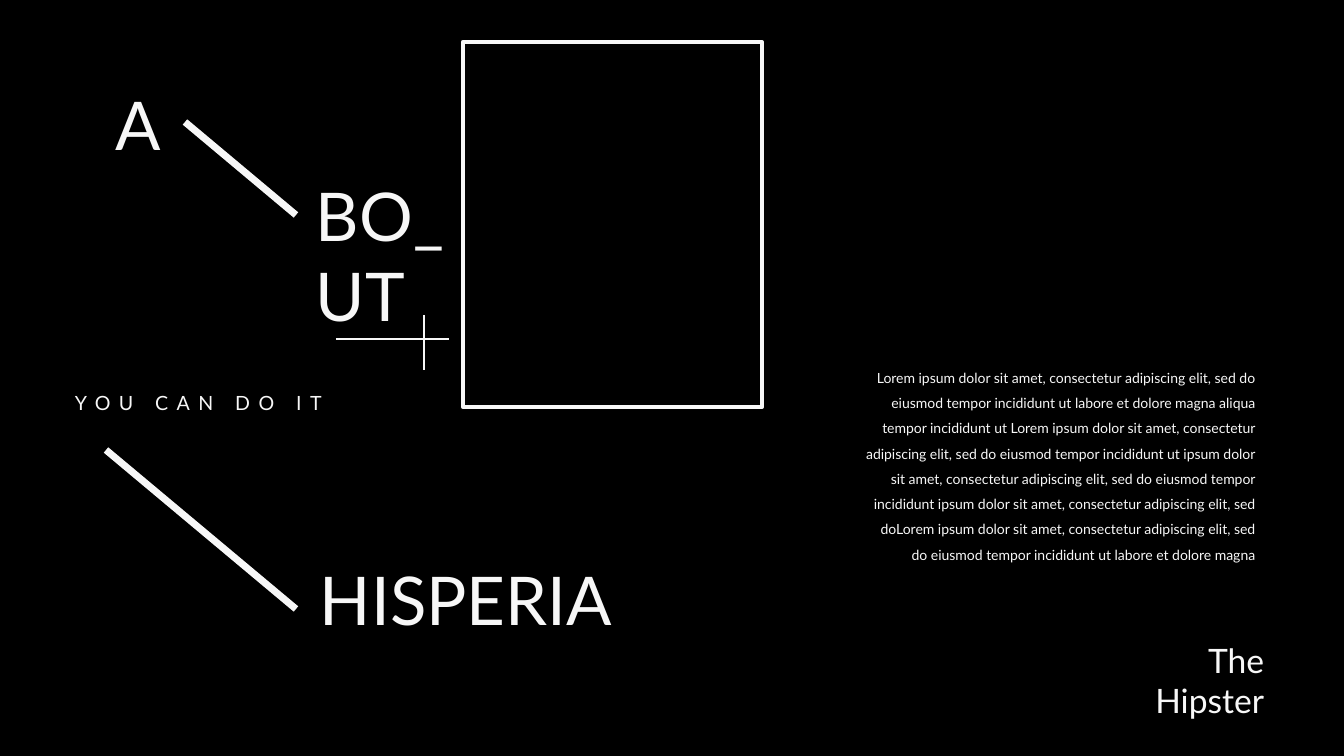
import pptx
import pptx.util
import pptx.dml.color
import pptx.enum.shapes
import pptx.enum.text
import pptx.oxml.ns
import lxml.etree

PX = 914400 / 100.8
COLORS = {"background": "000000", "ink": "F7F7F7"}
INK = pptx.dml.color.RGBColor.from_string(COLORS["ink"])
LEFT = pptx.enum.text.PP_ALIGN.LEFT
RIGHT = pptx.enum.text.PP_ALIGN.RIGHT


def px(*values):
    return [round(v * PX) for v in values]


def add_text(text, box, size, align=LEFT, wrap=False, spacing=1, tracking=0):
    tf = s.shapes.add_textbox(*px(*box)).text_frame
    tf.word_wrap = wrap
    p = tf.paragraphs[0]
    p.alignment = align
    p.line_spacing = spacing
    r = p.add_run()
    r.text = text
    r.font.name = "Lato"
    r.font.size = pptx.util.Pt(size)
    r.font.color.rgb = INK
    if tracking:
        r.font._element.set("spc", str(tracking * 100))


prs = pptx.Presentation()
prs.slide_width, prs.slide_height = px(1344, 756)
s = prs.slides.add_slide(prs.slide_layouts[6])
s.background.fill.solid()
s.background.fill.fore_color.rgb = pptx.dml.color.RGBColor.from_string(COLORS["background"])

titles = [
    ("A", (106, 78, 69, 92)),
    ("BO_", (306, 169, 153, 92)),
    ("UT", (306, 249, 113, 92)),
    ("HISPERIA", (310, 553, 328, 92)),
]
for text, box in titles:
    add_text(text, box, 48)

body = (
    "Lorem ipsum dolor sit amet, consectetur adipiscing elit, sed do eiusmod tempor "
    "incididunt ut labore et dolore magna aliqua tempor incididunt ut Lorem ipsum dolor "
    "sit amet, consectetur adipiscing elit, sed do eiusmod tempor incididunt ut ipsum "
    "dolor sit amet, consectetur adipiscing elit, sed do eiusmod tempor incididunt ipsum "
    "dolor sit amet, consectetur adipiscing elit, sed doLorem ipsum dolor sit amet, "
    "consectetur adipiscing elit, sed do eiusmod tempor incididunt ut labore et dolore magna"
)
add_text(body, (854, 356, 411, 236), 10, RIGHT, wrap=True, spacing=1.5)
add_text("The Hipster", (1135, 635, 139, 90), 24, RIGHT, wrap=True)
add_text("YOU CAN DO IT", (65, 386, 280, 34), 14, tracking=6)

lines = [
    ((185, 122, 296, 215), 5),
    ((106, 450, 296, 609), 5),
    ((336, 339, 449, 339), 2),
    ((424, 315, 424, 370), 2),
]
for ends, width in lines:
    line = s.shapes.add_connector(pptx.enum.shapes.MSO_CONNECTOR.STRAIGHT, *px(*ends))
    line.line.color.rgb = INK
    line.line.width = pptx.util.Pt(width)
    lxml.etree.SubElement(line._element.spPr, pptx.oxml.ns.qn("a:effectLst"))

frame = s.shapes.add_shape(pptx.enum.shapes.MSO_SHAPE.RECTANGLE, *px(463, 42, 299, 365))
frame.shadow.inherit = False
frame.fill.background()
frame.line.color.rgb = INK
frame.line.width = pptx.util.Pt(3)

prs.save("out.pptx")
